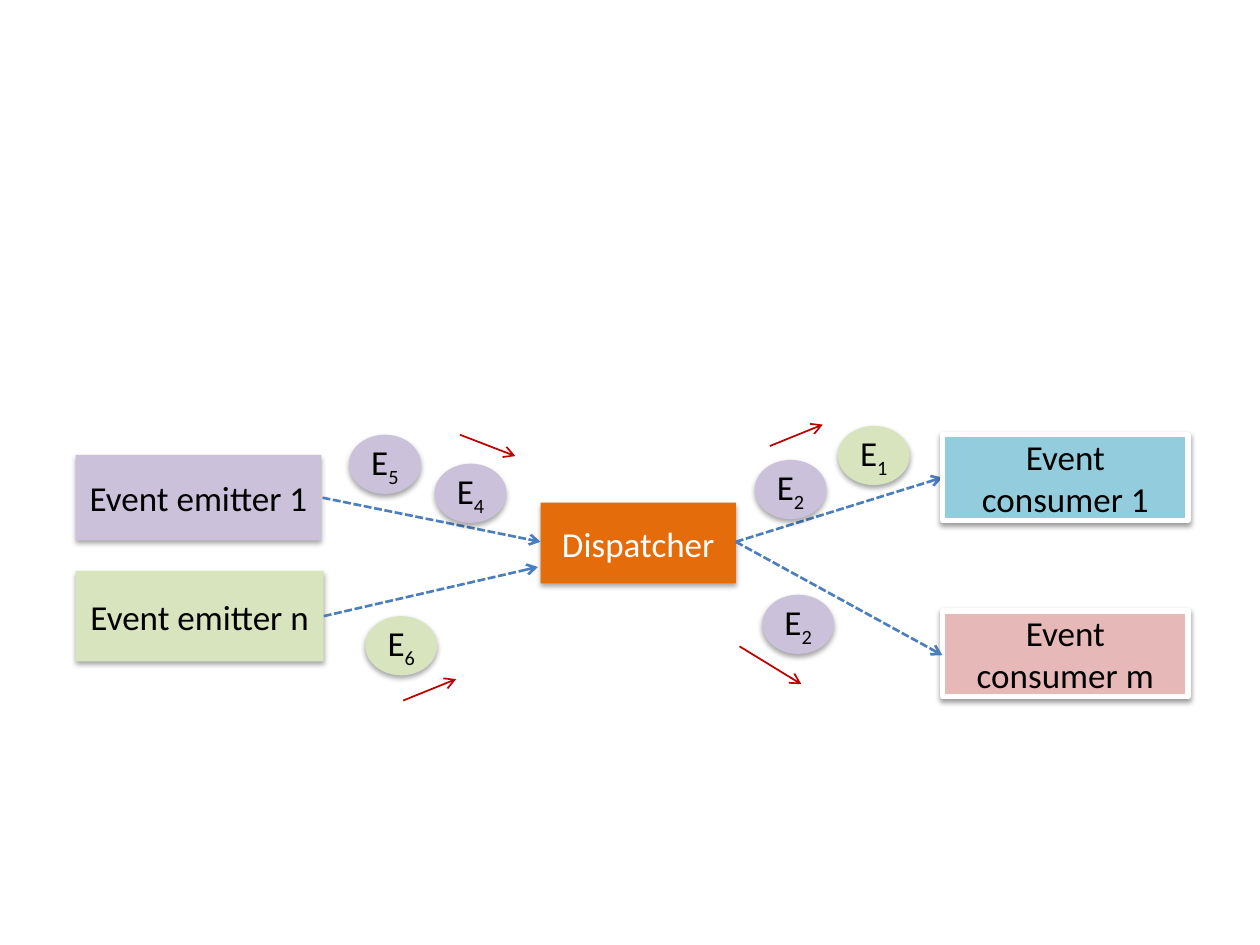
from dataclasses import dataclass
from typing import Optional

from lxml import etree
from pptx import Presentation
from pptx import util as u
from pptx.dml.color import RGBColor
from pptx.enum import dml, shapes, text
from pptx.oxml.ns import qn


@dataclass(frozen=True)
class Theme:
    font: str = "Calibri"
    size: u.Length = u.Pt(20)
    dark: str = "000000"
    light: str = "FFFFFF"
    orange: str = "E46C0A"
    purple: str = "CCC1DA"
    green: str = "D7E4BD"
    aqua: str = "93CDDD"
    rose: str = "E6B9B8"
    flow: str = "4B7EBC"
    motion: str = "C00000"


THEME = Theme()


@dataclass(frozen=True)
class Node:
    label: str
    left: float
    top: float
    width: float
    height: float
    fill: str
    ink: str = THEME.dark
    border: Optional[str] = None


@dataclass(frozen=True)
class Event:
    number: str
    left: float
    top: float
    fill: str


@dataclass(frozen=True)
class Arrow:
    x1: float
    y1: float
    x2: float
    y2: float


EVENT_WIDTH, EVENT_HEIGHT = 0.57, 0.47

SENDERS = [
    Node("Dispatcher", 4.29, 3.99, 1.55, 0.64, THEME.orange, THEME.light),
    Node("Event emitter n", 0.6, 4.53, 1.97, 0.72, THEME.green),
    Node("Event emitter 1", 0.6, 3.61, 1.95, 0.68, THEME.purple),
]
CONSUMERS = [
    Node("Event consumer 1", 7.48, 3.45, 1.95, 0.68, THEME.aqua, border=THEME.light),
    Node("Event consumer m", 7.48, 4.85, 1.95, 0.68, THEME.rose, border=THEME.light),
]
FLOWS_BEHIND_CONSUMERS = [
    Arrow(5.84, 4.3, 7.48, 3.79),
    Arrow(2.57, 4.89, 4.27, 4.5),
    Arrow(2.56, 3.95, 4.29, 4.3),
]
FLOW_TO_CONSUMER_M = Arrow(5.84, 4.3, 7.48, 5.2)
EVENTS = [
    Event("4", 3.45, 3.68, THEME.purple),
    Event("5", 2.77, 3.45, THEME.purple),
    Event("6", 2.9, 4.89, THEME.green),
    Event("1", 6.65, 3.38, THEME.green),
    Event("2", 6.05, 4.72, THEME.purple),
    Event("2", 5.99, 3.65, THEME.purple),
]
MOTIONS = [
    Arrow(3.65, 3.45, 4.09, 3.62),
    Arrow(3.2, 5.56, 3.62, 5.39),
    Arrow(6.11, 3.54, 6.53, 3.37),
    Arrow(5.87, 5.13, 6.36, 5.43),
]


def add_shadow(shape, distance: float, opacity: int) -> None:
    shape.shadow.inherit = False
    effects = shape._element.spPr.find(qn("a:effectLst"))
    outer = etree.SubElement(
        effects, qn("a:outerShdw"), blurRad=str(u.Pt(3.1)), dist=str(u.Pt(distance)),
        dir="5400000", rotWithShape="0")
    color = etree.SubElement(outer, qn("a:srgbClr"), val=THEME.dark)
    etree.SubElement(color, qn("a:alpha"), val=str(opacity * 1000))


def add_body(slide, preset, left: float, top: float, width: float, height: float,
             fill: str, ink: str, border: Optional[str] = None):
    body = slide.shapes.add_shape(
        preset, u.Inches(left), u.Inches(top), u.Inches(width), u.Inches(height))
    body.fill.solid()
    body.fill.fore_color.rgb = RGBColor.from_string(fill)
    if border:
        body.line.color.rgb = RGBColor.from_string(border)
        body.line.width = u.Pt(3)
        add_shadow(body, 1.6, 38)
    else:
        body.line.fill.background()
        add_shadow(body, 1.8, 35)
    body.text_frame.vertical_anchor = text.MSO_ANCHOR.MIDDLE
    label = body.text_frame.paragraphs[0]
    label.alignment = text.PP_ALIGN.CENTER
    label.font.name = THEME.font
    label.font.size = THEME.size
    label.font.color.rgb = RGBColor.from_string(ink)
    return body


def add_node(slide, node: Node) -> None:
    body = add_body(slide, shapes.MSO_SHAPE.RECTANGLE, node.left, node.top,
                    node.width, node.height, node.fill, node.ink, node.border)
    body.text_frame.paragraphs[0].add_run().text = node.label


def add_event(slide, event: Event) -> None:
    body = add_body(slide, shapes.MSO_SHAPE.FLOWCHART_CONNECTOR, event.left, event.top,
                    EVENT_WIDTH, EVENT_HEIGHT, event.fill, THEME.dark)
    frame = body.text_frame
    frame.margin_left = frame.margin_right = frame.margin_top = frame.margin_bottom = 0
    frame.auto_size = text.MSO_AUTO_SIZE.SHAPE_TO_FIT_TEXT
    label = frame.paragraphs[0]
    label.add_run().text = "E"
    subscript = label.add_run()
    subscript.text = event.number
    subscript.font._element.set("baseline", "-25000")


def add_arrow(slide, arrow: Arrow, color: str, width: float, dashed: bool = False) -> None:
    connector = slide.shapes.add_connector(
        shapes.MSO_CONNECTOR.STRAIGHT, u.Inches(arrow.x1), u.Inches(arrow.y1),
        u.Inches(arrow.x2), u.Inches(arrow.y2))
    connector.line.color.rgb = RGBColor.from_string(color)
    connector.line.width = u.Pt(width)
    if dashed:
        connector.line.dash_style = dml.MSO_LINE.SQUARE_DOT
    properties = connector._element.spPr
    etree.SubElement(properties.find(qn("a:ln")), qn("a:tailEnd"), type="arrow")
    etree.SubElement(properties, qn("a:effectLst"))


def main() -> None:
    presentation = Presentation()
    presentation.slide_width = u.Inches(10)
    presentation.slide_height = u.Inches(7.5)
    slide = presentation.slides.add_slide(presentation.slide_layouts[6])

    for sender in SENDERS:
        add_node(slide, sender)
    for flow in FLOWS_BEHIND_CONSUMERS:
        add_arrow(slide, flow, THEME.flow, 1.5, dashed=True)
    for consumer in CONSUMERS:
        add_node(slide, consumer)
    add_arrow(slide, FLOW_TO_CONSUMER_M, THEME.flow, 1.5, dashed=True)
    for event in EVENTS:
        add_event(slide, event)
    for motion in MOTIONS:
        add_arrow(slide, motion, THEME.motion, 1)

    presentation.save("out.pptx")


if __name__ == "__main__":
    main()
